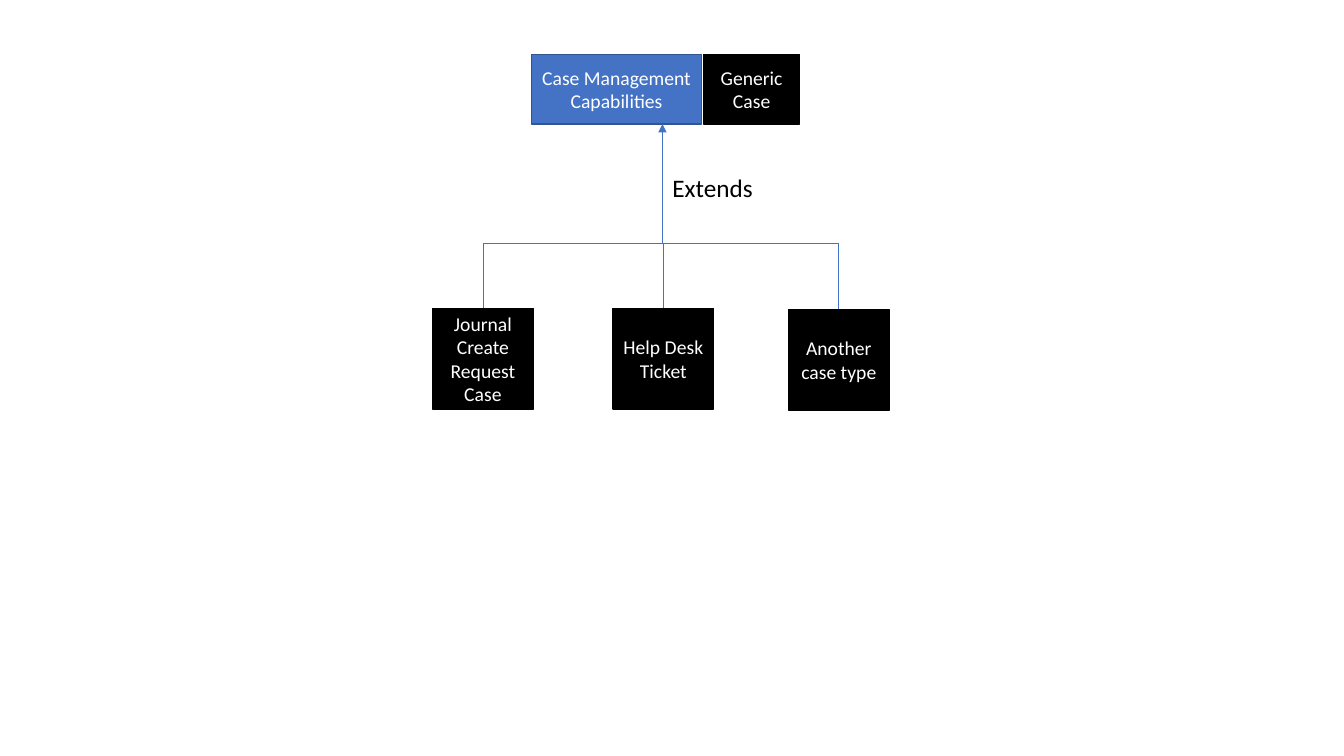
from pptx import Presentation
from pptx.dml.color import RGBColor
from pptx.enum import shapes, text
from pptx.oxml import ns, xmlchemy
from pptx.util import Inches, Pt

THEME = {
    "font": "Calibri", "body": 14, "label": 18,
    "blue": "4472C4", "edge": "325491", "black": "000000", "white": "FFFFFF",
    "border": 1, "wire": 0.5,
}

# Words, left, width, fill, border
BASE = [
    ("Case Management Capabilities", 5.27, 1.69, "blue", "edge"),
    ("Generic Case", 6.98, 0.95, "black", "black"),
]
BASE_TOP, BASE_TALL = 0.54, 0.69

# Words, left, top
CASES = [
    ("Journal Create Request Case", 4.29, 3.06),
    ("Help Desk Ticket", 6.08, 3.06),
    ("Another case type", 7.82, 3.07),
]
SIDE = 1
BAR = 2.41
TRUNK = 6.57
LABEL = ("Extends", TRUNK, 1.66, 1.01, 0.4)


def color(name):
    """Return a theme colour."""
    return RGBColor.from_string(THEME[name])


def style(para, size, ink):
    """Set the font of a paragraph."""
    para.font.name = THEME["font"]
    para.font.size = Pt(THEME[size])
    para.font.color.rgb = color(ink)


def box(slide, words, left, top, wide, tall, fill, edge):
    """Add a filled box with centred words."""
    shape = slide.shapes.add_shape(
        shapes.MSO_SHAPE.RECTANGLE, *map(Inches, (left, top, wide, tall)))
    shape.shadow.inherit = False
    shape.fill.solid()
    shape.fill.fore_color.rgb = color(fill)
    shape.line.color.rgb = color(edge)
    shape.line.width = Pt(THEME["border"])
    frame = shape.text_frame
    frame.word_wrap = True
    frame.vertical_anchor = text.MSO_ANCHOR.MIDDLE
    para = frame.paragraphs[0]
    para.text = words
    para.alignment = text.PP_ALIGN.CENTER
    style(para, "body", "white")


def wire(slide, x1, y1, x2, y2, arrow=False):
    """Add a thin line, with an arrowhead at its start if asked."""
    line = slide.shapes.add_connector(
        shapes.MSO_CONNECTOR.STRAIGHT, *map(Inches, (x1, y1, x2, y2)))
    line.line.color.rgb = color("blue")
    line.line.width = Pt(THEME["wire"])
    props = line._element.spPr
    if arrow:
        head = xmlchemy.OxmlElement("a:headEnd")
        head.set("type", "triangle")
        props.find(ns.qn("a:ln")).append(head)
    props.append(xmlchemy.OxmlElement("a:effectLst"))


def label(slide, words, *place):
    """Add a plain text label."""
    frame = slide.shapes.add_textbox(*map(Inches, place)).text_frame
    frame.word_wrap = False
    frame.auto_size = text.MSO_AUTO_SIZE.SHAPE_TO_FIT_TEXT
    para = frame.paragraphs[0]
    para.text = words
    style(para, "label", "black")


def main():
    """Build and save the slide."""
    deck = Presentation()
    deck.slide_width, deck.slide_height = Inches(13.33), Inches(7.5)
    slide = deck.slides.add_slide(deck.slide_layouts[6])

    for words, left, wide, fill, edge in BASE:
        box(slide, words, left, BASE_TOP, wide, BASE_TALL, fill, edge)
    for words, left, top in CASES:
        box(slide, words, left, top, SIDE, SIDE, "black", "black")

    stubs = [(left + SIDE / 2, top) for _, left, top in CASES]
    wire(slide, stubs[0][0], BAR, stubs[-1][0], BAR)
    for mid, top in stubs:
        wire(slide, mid, BAR, mid, top)
    wire(slide, TRUNK, BASE_TOP + BASE_TALL, TRUNK, BAR, arrow=True)
    label(slide, *LABEL)
    deck.save("out.pptx")


main()
